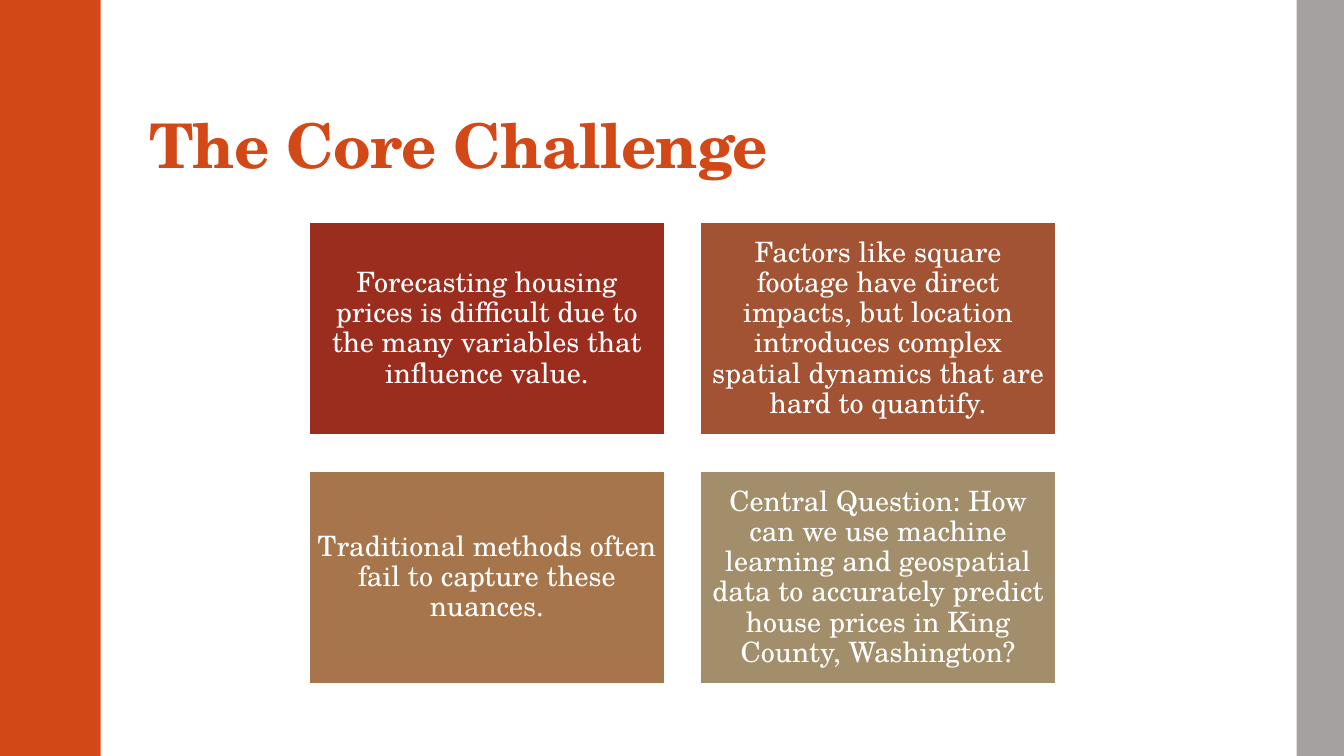
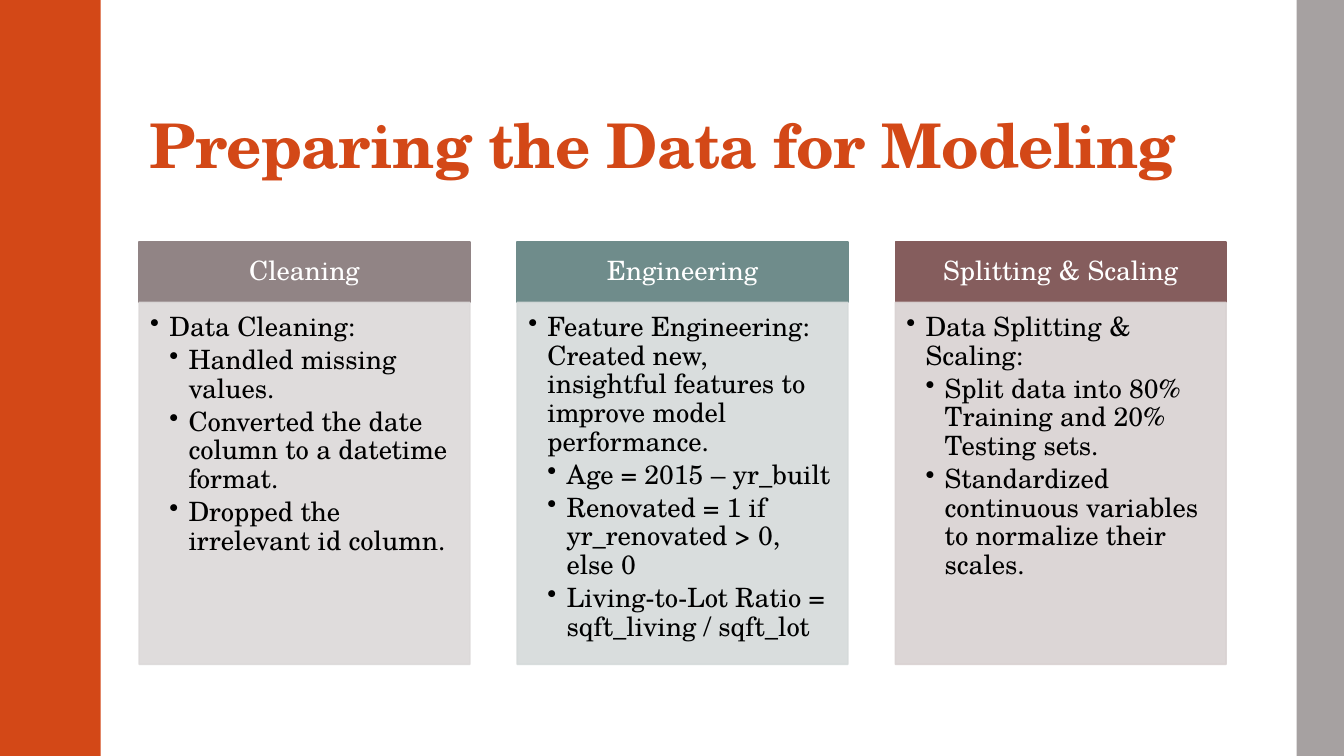
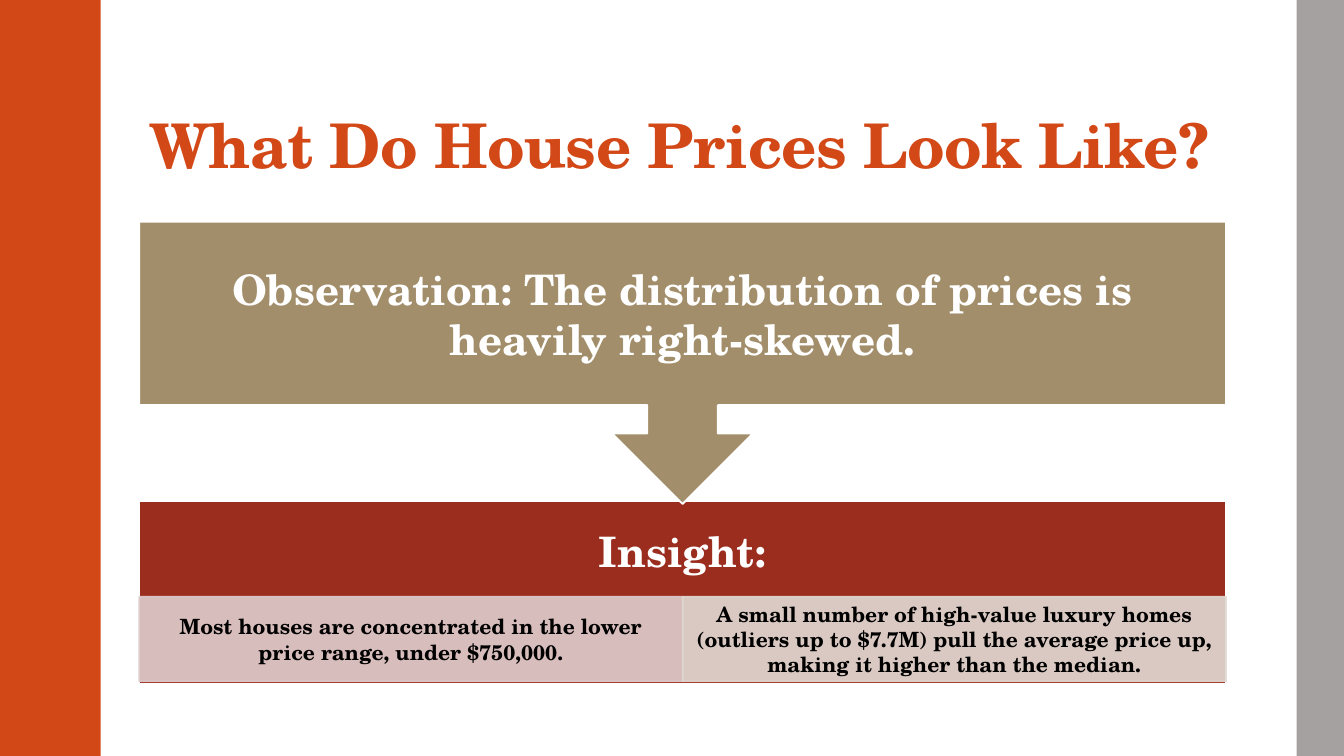
import lxml.etree
import pptx
import pptx.dml.color
import pptx.enum.shapes
import pptx.enum.text
import pptx.oxml.ns
import pptx.util

RGBColor = pptx.dml.color.RGBColor
Inches = pptx.util.Inches
Shape = pptx.enum.shapes.MSO_SHAPE
Align = pptx.enum.text.PP_ALIGN
Anchor = pptx.enum.text.MSO_ANCHOR
qn = pptx.oxml.ns.qn

FONT = "TeX Gyre Schola"
WHITE = RGBColor(0xFF, 0xFF, 0xFF)
BLACK = RGBColor(0x00, 0x00, 0x00)
ORANGE = RGBColor(0xD3, 0x48, 0x17)
GRAY = RGBColor(0xA6, 0xA1, 0xA1)
RED = RGBColor(0x9B, 0x2D, 0x1F)
RUST = RGBColor(0xA2, 0x53, 0x33)
TAN = RGBColor(0xA6, 0x75, 0x4B)
SAND = RGBColor(0xA2, 0x8E, 0x6A)
TAUPE = RGBColor(0x91, 0x84, 0x85)
TEAL = RGBColor(0x6F, 0x8C, 0x8B)
MAUVE = RGBColor(0x85, 0x5D, 0x5D)
PALE_TAUPE = RGBColor(0xDC, 0xD9, 0xD9)
PALE_TEAL = RGBColor(0xD5, 0xDA, 0xDA)
PALE_MAUVE = RGBColor(0xD9, 0xD2, 0xD2)
PALE_RED = RGBColor(0xDE, 0xCD, 0xCD)
PALE_SAND = RGBColor(0xE0, 0xDB, 0xD4)

# The content area, in inches
WIDTH, HEIGHT = 13.33, 7.5
LEFT, TOP = 1.38, 2.2
AREA_WIDTH, AREA_HEIGHT = 10.78, 4.59


def add_box(page, at, fill, kind=Shape.RECTANGLE, line=None, line_width=1.35, opacity=100):
    box = page.shapes.add_shape(kind, *[Inches(length) for length in at])
    box.shadow.inherit = False
    if fill is None:
        box.fill.background()
    else:
        box.fill.solid()
        box.fill.fore_color.rgb = fill
    if line is None:
        box.line.fill.background()
    else:
        box.line.color.rgb = line
        box.line.width = pptx.util.Pt(line_width)
    if opacity < 100:
        for color in box.element.spPr.iter(qn("a:srgbClr")):
            lxml.etree.SubElement(color, qn("a:alpha"), val=str(opacity * 1000))
    return box


def write(box, text, size, color=WHITE, bold=False, align=Align.CENTER, anchor=Anchor.MIDDLE,
          insets=(0.08, 0.08, 0.08, 0.08), line_spacing=1.0, tracking=0, bullet_indent=0):
    """Write one paragraph per line; with bullets, the lines after the first go one level down."""
    frame = box.text_frame
    frame.word_wrap = True
    frame.vertical_anchor = anchor
    (frame.margin_left, frame.margin_top,
     frame.margin_right, frame.margin_bottom) = [Inches(inset) for inset in insets]
    for index, content in enumerate(text.split("\n")):
        para = frame.add_paragraph() if index else frame.paragraphs[0]
        para.alignment = align
        para.line_spacing = line_spacing
        if bullet_indent:
            para.level = min(index, 1) + 1
            para.space_after = pptx.util.Pt(3)
            properties = para._p.get_or_add_pPr()
            properties.set("marL", str(Inches(bullet_indent * para.level)))
            properties.set("indent", str(-Inches(bullet_indent)))
            lxml.etree.SubElement(properties, qn("a:buChar"), char="•")
        span = para.add_run()
        span.text = content
        span.font.name = FONT
        span.font.size = pptx.util.Pt(size)
        span.font.bold = bold
        span.font.color.rgb = color
        if tracking:
            span._r.get_or_add_rPr().set("spc", str(int(tracking * 100)))


deck = pptx.Presentation()
deck.slide_width, deck.slide_height = Inches(WIDTH), Inches(HEIGHT)

# Shared side bands and titles
pages = []
for title in ("The Core Challenge", "Preparing the Data for Modeling",
              "What Do House Prices Look Like?"):
    page = deck.slides.add_slide(deck.slide_layouts[6])
    add_box(page, (0, 0, 1, HEIGHT), ORANGE)
    add_box(page, (12.86, 0, WIDTH - 12.86, HEIGHT), GRAY)
    title_box = page.shapes.add_textbox(
        *[Inches(length) for length in (LEFT, 0.32, AREA_WIDTH, 1.53)])
    write(title_box, title, 44, color=ORANGE, bold=True, align=Align.LEFT, anchor=Anchor.BOTTOM,
          insets=(0.1, 0.03, 0.1, 0.05), line_spacing=0.9, tracking=-0.5)
    pages.append(page)
challenge_page, preparing_page, prices_page = pages

# The Core Challenge: two by two tiles, centred
tile_width, tile_height, tile_gap = 3.53, 2.12, 0.35
tiles_left = LEFT + (AREA_WIDTH - 2 * tile_width - tile_gap) / 2
tiles = [
    (RED, "Forecasting housing prices is difficult due to the many variables that influence value."),
    (RUST, "Factors like square footage have direct impacts, but location introduces complex "
           "spatial dynamics that are hard to quantify."),
    (TAN, "Traditional methods often fail to capture these nuances."),
    (SAND, "Central Question: How can we use machine learning and geospatial data to accurately "
           "predict house prices in King County, Washington?"),
]
for index, (fill, text) in enumerate(tiles):
    row, column = divmod(index, 2)
    tile = add_box(challenge_page, (tiles_left + column * (tile_width + tile_gap),
                                    TOP + row * (tile_height + tile_gap),
                                    tile_width, tile_height), fill, line=WHITE)
    write(tile, text, 20, line_spacing=0.9)

# Preparing the Data: three equal columns, each a header over a list
column_width, header_height, list_height = 3.28, 0.6, 3.59
column_step = (AREA_WIDTH - column_width) / 2
header_top = TOP + (AREA_HEIGHT - header_height - list_height) / 2
columns = [
    ("Cleaning", TAUPE, PALE_TAUPE,
     "Data Cleaning:\n"
     "Handled missing values.\n"
     "Converted the date column to a datetime format.\n"
     "Dropped the irrelevant id column."),
    ("Engineering", TEAL, PALE_TEAL,
     "Feature Engineering: Created new, insightful features to improve model performance.\n"
     "Age = 2015 – yr_built\n"
     "Renovated = 1 if yr_renovated > 0, else 0\n"
     "Living-to-Lot Ratio = sqft_living / sqft_lot"),
    ("Splitting & Scaling", MAUVE, PALE_MAUVE,
     "Data Splitting & Scaling:\n"
     "Split data into 80% Training and 20% Testing sets.\n"
     "Standardized continuous variables to normalize their scales."),
]
for index, (heading, dark, pale, steps) in enumerate(columns):
    left = LEFT + index * column_step
    header = add_box(preparing_page, (left, header_top, column_width, header_height),
                     dark, line=dark, line_width=1.1)
    write(header, heading, 19, insets=(0.15, 0.08, 0.15, 0.08), line_spacing=0.9)
    step_list = add_box(preparing_page,
                        (left, header_top + header_height, column_width, list_height),
                        pale, line=pale, line_width=1.1, opacity=90)
    write(step_list, steps, 19, color=BLACK, align=Align.LEFT, anchor=Anchor.TOP,
          insets=(0.11, 0.11, 0.15, 0.17), line_spacing=0.9, bullet_indent=0.19)

# House Prices: an observation pointing down to an insight with two findings
insight_top, insight_height, heading_height = 4.97, 1.82, 0.98
wide_insets = (0.23, 0.23, 0.23, 0.23)
add_box(prices_page, (LEFT, insight_top, AREA_WIDTH, insight_height), RED, line=WHITE)
insight_heading = add_box(prices_page, (LEFT, insight_top, AREA_WIDTH, heading_height), None)
write(insight_heading, "Insight:", 30, bold=True, insets=wide_insets)

findings = [
    (PALE_RED, "Most houses are concentrated in the lower price range, under $750,000."),
    (PALE_SAND, "A small number of high-value luxury homes (outliers up to $7.7M) pull the average "
                "price up, making it higher than the median."),
]
finding_width = AREA_WIDTH / len(findings)
for index, (fill, text) in enumerate(findings):
    finding = add_box(prices_page, (LEFT + index * finding_width, 5.92, finding_width, 0.84),
                      fill, line=fill, line_width=1.1, opacity=90)
    write(finding, text, 15, color=BLACK, bold=True, insets=(0.12, 0.02, 0.12, 0.02))

observation = add_box(prices_page, (LEFT, TOP, AREA_WIDTH, 2.8), SAND,
                      kind=Shape.DOWN_ARROW_CALLOUT, line=WHITE)
write(observation, "Observation: The distribution of prices is heavily right-skewed.", 30,
      bold=True, insets=wide_insets)

deck.save("out.pptx")
